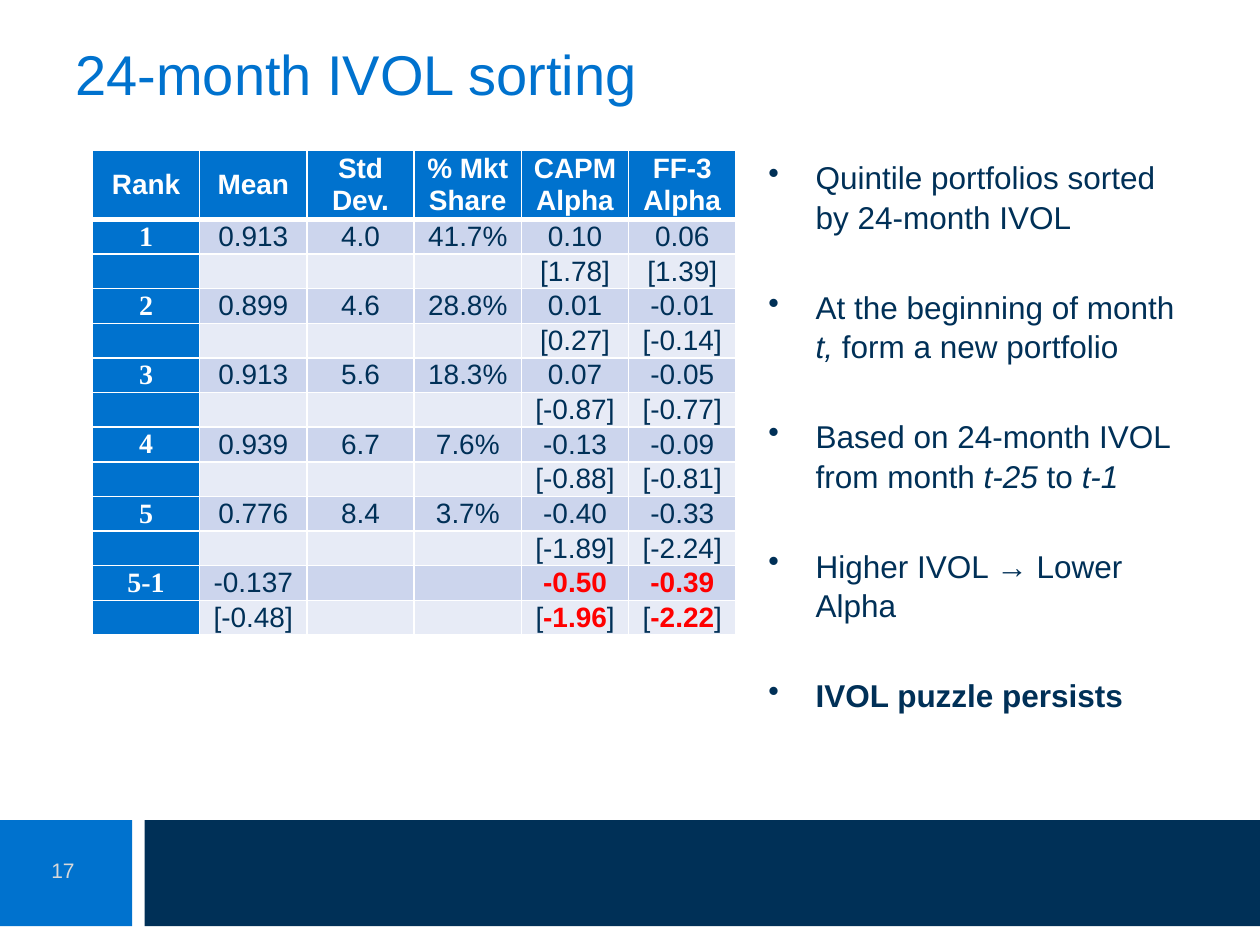
from lxml import etree
from pptx import Presentation
from pptx.dml.color import RGBColor
from pptx.enum import shapes, text
from pptx.oxml.ns import qn
from pptx.util import Pt

COLORS = {
    "blue": "0072CE", "navy": "003057", "white": "FFFFFF", "grey": "D9D9D9",
    "red": "FF0000", "band": "CCD5ED", "pale": "E7EBF6",
}
HEADINGS = ["Rank", "Mean", "Std Dev.", "% Mkt Share", "CAPM Alpha", "FF-3\nAlpha"]
QUINTILES = [
    ["1", "0.913", "4.0", "41.7%", "0.10", "0.06"],
    ["", "", "", "", "[1.78]", "[1.39]"],
    ["2", "0.899", "4.6", "28.8%", "0.01", "-0.01"],
    ["", "", "", "", "[0.27]", "[-0.14]"],
    ["3", "0.913", "5.6", "18.3%", "0.07", "-0.05"],
    ["", "", "", "", "[-0.87]", "[-0.77]"],
    ["4", "0.939", "6.7", "7.6%", "-0.13", "-0.09"],
    ["", "", "", "", "[-0.88]", "[-0.81]"],
    ["5", "0.776", "8.4", "3.7%", "-0.40", "-0.33"],
    ["", "", "", "", "[-1.89]", "[-2.24]"],
    ["5-1", "-0.137", "", "", "*-0.50*", "*-0.39*"],
    ["", "[-0.48]", "", "", "[*-1.96*]", "[*-2.22*]"],
]
FINDINGS = [
    "Quintile portfolios sorted by 24-month IVOL",
    "At the beginning of month *t, *form a new portfolio",
    "Based on 24-month IVOL from month *t-25* to *t-1*",
    "Higher IVOL → Lower Alpha",
    "IVOL puzzle persists",
]


def rgb(name):
    return RGBColor.from_string(COLORS[name])


class Deck:
    """Holds the style and the current slide, and draws each kind of element."""

    def __init__(self, font="Arial"):
        self.font = font
        self.deck = Presentation()
        self.deck.slide_width, self.deck.slide_height = Pt(720), Pt(540)
        self.slide = self.deck.slides.add_slide(self.deck.slide_layouts[6])

    def fill_text(self, paragraph, words, size, color, bold=False, font=None, accent=None):
        style = paragraph.font
        style.name, style.size, style.bold = font or self.font, Pt(size), bold
        style.color.rgb = rgb(color)
        for index, part in enumerate(words.split("*")):
            if not part:
                continue
            run = paragraph.add_run()
            run.text = part
            if index % 2 and accent:
                run.font.bold, run.font.color.rgb = True, rgb(accent)
            elif index % 2:
                run.font.italic = True

    def band(self, left, top, width, height, color):
        block = self.slide.shapes.add_shape(
            shapes.MSO_SHAPE.RECTANGLE, Pt(left), Pt(top), Pt(width), Pt(height))
        block.shadow.inherit = False
        block.fill.solid()
        block.fill.fore_color.rgb = rgb(color)
        block.line.fill.background()

    def frame(self, left, top, width, height, anchor=text.MSO_ANCHOR.MIDDLE):
        frame = self.slide.shapes.add_textbox(
            Pt(left), Pt(top), Pt(width), Pt(height)).text_frame
        frame.word_wrap, frame.vertical_anchor = True, anchor
        return frame

    def line(self, left, top, width, height, words, size, color, align=text.PP_ALIGN.LEFT):
        paragraph = self.frame(left, top, width, height).paragraphs[0]
        paragraph.alignment = align
        self.fill_text(paragraph, words, size, color)

    def bullets(self, left, top, width, height, items, size, color):
        frame = self.frame(left, top, width, height, text.MSO_ANCHOR.TOP)
        for index, words in enumerate(items):
            paragraph = frame.add_paragraph() if index else frame.paragraphs[0]
            paragraph.line_spacing = 1.05
            paragraph.space_before = Pt(28.6 if index else 3.6)
            self.fill_text(paragraph, words, size, color, bold=words == items[-1])
            props = paragraph._p.get_or_add_pPr()
            props.set("marL", str(Pt(27)))
            props.set("indent", str(-Pt(27)))
            bullet = etree.Element(qn("a:buChar"), char="•")
            props.find(qn("a:defRPr")).addprevious(bullet)

    def borders(self, cell, top, bottom):
        props = cell._tc.get_or_add_tcPr()
        widths = {"lnL": 1, "lnR": 1, "lnT": top, "lnB": bottom}
        for index, (side, width) in enumerate(widths.items()):
            edge = etree.Element(qn("a:" + side), w=str(Pt(width)))
            fill = etree.SubElement(edge, qn("a:solidFill"))
            etree.SubElement(fill, qn("a:srgbClr"), val=COLORS["white"])
            props.insert(index, edge)

    def cell(self, cell, words, fill, margin, size=16, **style):
        cell.fill.solid()
        cell.fill.fore_color.rgb = rgb(fill)
        cell.vertical_anchor = text.MSO_ANCHOR.MIDDLE
        cell.margin_left = cell.margin_right = Pt(margin)
        cell.margin_top = cell.margin_bottom = 0
        for index, part in enumerate(words.split("\n")):
            frame = cell.text_frame
            paragraph = frame.add_paragraph() if index else frame.paragraphs[0]
            paragraph.alignment = text.PP_ALIGN.CENTER
            self.fill_text(paragraph, part, size, accent="red", **style)
            if not part:
                paragraph._p.get_or_add_endParaRPr().set("sz", str(size * 100))

    def table(self, left, top, column, header, row, headings, body):
        grid = self.slide.shapes.add_table(
            len(body) + 1, len(headings), Pt(left), Pt(top),
            Pt(column * len(headings)), Pt(header + row * len(body))).table
        for each in grid.columns:
            each.width = Pt(column)
        for r, values in enumerate([headings] + body):
            grid.rows[r].height = Pt(row if r else header)
            for c, words in enumerate(values):
                cell = grid.cell(r, c)
                if r == 0:
                    self.cell(cell, words, "blue", 4.3, color="white", bold=True)
                elif c == 0:
                    self.cell(cell, words, "blue", 0, color="white", bold=True,
                              font="Times New Roman")
                else:
                    self.cell(cell, words, "band" if r % 2 else "pale", 0, color="navy")
                self.borders(cell, 3 if r == 1 else 1, 3 if r == 0 else 1)

    def save(self):
        self.deck.save("out.pptx")


def main():
    deck = Deck()
    deck.band(-0.7, 468.7, 76.3, 60.5, "blue")
    deck.band(82.6, 468.7, 638.6, 60.5, "navy")
    deck.line(36, 21.6, 527, 40.3, "24-month IVOL sorting", 32, "blue")
    deck.line(10.8, 483.1, 50.4, 28.8, "17", 12, "grey", text.PP_ALIGN.CENTER)
    deck.table(52.8, 85.8, 61.3, 39.6, 19.8, HEADINGS, QUINTILES)
    deck.bullets(432, 85.8, 258.5, 337, FINDINGS, 18, "navy")
    deck.save()


if __name__ == "__main__":
    main()
